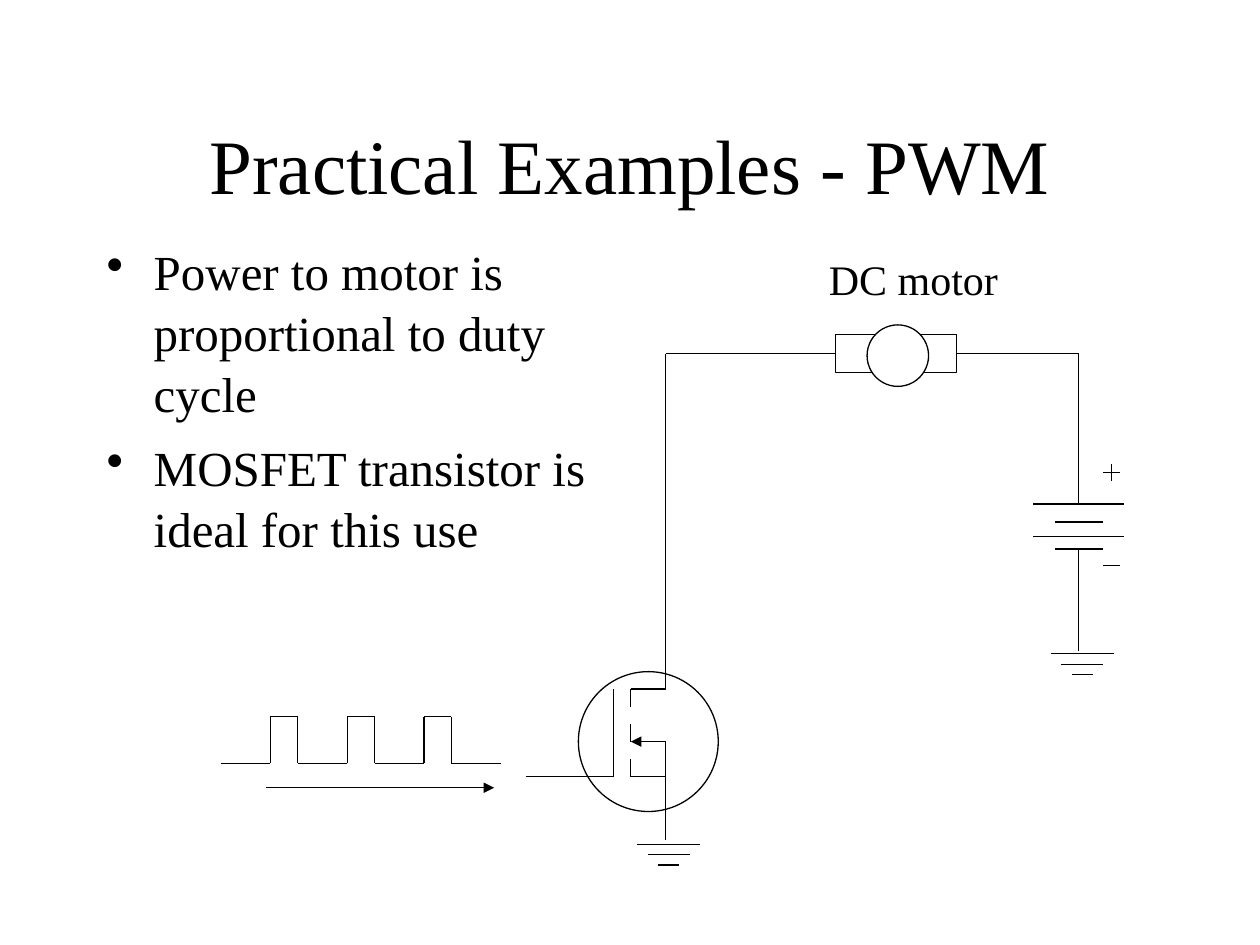
from dataclasses import dataclass

from lxml import etree
from pptx import Presentation
from pptx.dml.color import RGBColor
from pptx.enum.shapes import MSO_CONNECTOR, MSO_SHAPE
from pptx.enum.text import MSO_ANCHOR as Anchor, PP_ALIGN as Align
from pptx.oxml.ns import qn
from pptx.util import Cm, Pt


@dataclass(frozen=True)
class Theme:
    font: str = "Times New Roman"
    ink: RGBColor = RGBColor(0, 0, 0)
    paper: RGBColor = RGBColor(255, 255, 255)
    title: int = 44
    body: int = 28
    label: int = 24
    line: float = 0.75


@dataclass(frozen=True)
class Box:
    """Area on the slide, in centimetres."""
    left: float
    top: float
    width: float
    height: float

    @property
    def center(self):
        return self.left + self.width / 2

    @property
    def middle(self):
        return self.top + self.height / 2

    @property
    def right(self):
        return self.left + self.width

    @property
    def bottom(self):
        return self.top + self.height

    def lengths(self):
        return [Cm(value) for value in (self.left, self.top, self.width, self.height)]


THEME = Theme()


def add_text(slide, box, paragraphs, *, size, align=Align.LEFT, anchor=Anchor.TOP,
             bullet=None, spacing=None, space_before=0, margin_top=0.13):
    frame = slide.shapes.add_textbox(*box.lengths()).text_frame
    frame.word_wrap = True
    frame.vertical_anchor = anchor
    frame.margin_top = Cm(margin_top)
    for index, text in enumerate(paragraphs):
        paragraph = frame.paragraphs[0] if index == 0 else frame.add_paragraph()
        paragraph.alignment = align
        if spacing:
            paragraph.line_spacing = spacing
        if index and space_before:
            paragraph.space_before = Pt(space_before)
        if bullet:
            properties = paragraph._p.get_or_add_pPr()
            properties.set("marL", str(Cm(0.95)))
            properties.set("indent", str(-Cm(0.95)))
            etree.SubElement(properties, qn("a:buChar"), char=bullet)
        run = paragraph.add_run()
        run.text = text
        run.font.name = THEME.font
        run.font.size = Pt(size)
        run.font.color.rgb = THEME.ink


def add_line(slide, start, end, arrow=False):
    line = slide.shapes.add_connector(
        MSO_CONNECTOR.STRAIGHT, *[Cm(value) for value in (*start, *end)])
    line.line.color.rgb = THEME.ink
    line.line.width = Pt(THEME.line)
    if arrow:
        etree.SubElement(line.line._get_or_add_ln(), qn("a:tailEnd"), type="triangle")
    etree.SubElement(line._element.spPr, qn("a:effectLst"))
    return line


def add_outline(slide, preset, box, fill=None):
    shape = slide.shapes.add_shape(preset, *box.lengths())
    shape.shadow.inherit = False
    if fill is None:
        shape.fill.background()
    else:
        shape.fill.solid()
        shape.fill.fore_color.rgb = fill
    shape.line.color.rgb = THEME.ink
    shape.line.width = Pt(THEME.line)
    return shape


def draw_motor(slide, box):
    """Draw the motor and return its casing, to which the wires are joined."""
    casing = add_outline(slide, MSO_SHAPE.RECTANGLE, box)
    diameter = 1.24
    rotor = Box(box.center - diameter / 2 + 0.04, box.middle - diameter / 2 + 0.04,
                diameter, diameter)
    add_outline(slide, MSO_SHAPE.OVAL, rotor, fill=THEME.paper)
    return casing


def draw_mosfet(slide, box):
    """Draw the transistor on a grid of eighths and return the x of its drain."""
    add_outline(slide, MSO_SHAPE.OVAL, box)
    unit = box.width / 8

    def at(column, row):
        return box.left + column * unit, box.top + row * unit

    gate, channel, drain = 2, 3, 5
    add_line(slide, at(gate, 1), at(gate, 6))
    add_line(slide, at(gate, 6), at(-3, 6))
    for row in (1, 3, 5):
        add_line(slide, at(channel, row), at(channel, row + 1))
    for row in (1, 6):
        add_line(slide, at(channel, row), at(drain, row))
    add_line(slide, at(drain, 4), at(channel, 4), arrow=True)
    add_line(slide, at(drain, 4), at(drain, 9.65))
    return at(drain, 1)[0]


def draw_ground(slide, box):
    for step in range(3):
        half = box.width * (3 - step) / 6
        y = box.top + box.height * step / 2
        add_line(slide, (box.center - half, y), (box.center + half, y))


def draw_battery(slide, box):
    short = 0.97
    for y, width in ((0, box.width), (0.36, short), (0.66, box.width), (0.91, short)):
        add_line(slide, (box.center - width / 2, box.top + y),
                 (box.center + width / 2, box.top + y))
    sign, arm = box.right - 0.25, 0.17
    plus, minus = box.top - 0.63, box.bottom + 0.33
    for y in (plus, minus):
        add_line(slide, (sign - arm, y), (sign + arm, y))
    add_line(slide, (sign, plus - arm), (sign, plus + arm))


def draw_pulses(slide, box, count=3, low=1.0, high=0.55):
    """Draw a square wave along the top of the box and the time arrow at its foot."""
    base = box.top + 0.94
    for index in range(count):
        start = box.left + index * (low + high)
        rise, fall = start + low, start + low + high
        corners = [(start, base), (rise, base), (rise, box.top),
                   (fall, box.top), (fall, base)]
        for begin, end in zip(corners, corners[1:]):
            add_line(slide, begin, end)
    add_line(slide, (box.right - low, base), (box.right, base))
    add_line(slide, (box.left + 0.91, box.bottom), (box.right - 0.14, box.bottom),
             arrow=True)


def draw_circuit(slide, box):
    """Place the motor loop: transistor on the left, battery on the right."""
    motor = Box(box.left + 5.18, box.top + 0.24, 2.44, 0.76)
    mosfet = Box(box.left, box.top + 7.03, 2.82, 2.82)
    battery = Box(box.right - 1.83, box.top + 3.65, 1.83, 0.91)
    drain = draw_mosfet(slide, mosfet)
    casing = draw_motor(slide, motor)
    draw_battery(slide, battery)
    draw_ground(slide, Box(mosfet.left + 1.19, mosfet.bottom + 0.66, 1.27, 0.42))
    draw_ground(slide, Box(battery.left + 0.35, battery.bottom + 2.11, 1.27, 0.42))

    wire = motor.middle
    add_line(slide, (drain, wire), (drain, mosfet.top + mosfet.width / 8))
    add_line(slide, (battery.center, wire), (battery.center, battery.top))
    add_line(slide, (battery.center, battery.bottom),
             (battery.center, battery.bottom + 2.05))
    add_line(slide, (drain, wire), (motor.left, wire)).end_connect(casing, 1)
    add_line(slide, (battery.center, wire), (motor.right, wire)).end_connect(casing, 3)
    add_text(slide, Box(box.left + 4.8, box.top - 1.53, 5.89, 1.27), ["DC motor"],
             size=THEME.label)


def draw_words(slide, box):
    add_text(slide, Box(box.left, box.top, box.width, 3.18),
             ["Practical Examples - PWM"],
             size=THEME.title, align=Align.CENTER, anchor=Anchor.MIDDLE)
    add_text(slide, Box(box.left, box.top + 2.92, 10.6, 11.43),
             ["Power to motor is proportional to duty cycle",
              "MOSFET transistor is ideal for this use"],
             size=THEME.body, bullet="•", spacing=1.04, space_before=7, margin_top=0.2)


def main():
    presentation = Presentation()
    presentation.slide_width, presentation.slide_height = Cm(25.4), Cm(19.05)
    slide = presentation.slides.add_slide(presentation.slide_layouts[6])
    draw_words(slide, Box(1.9, 1.7, 21.6, 14.35))
    draw_circuit(slide, Box(11.66, 6.51, 11, 10.93))
    draw_pulses(slide, Box(4.45, 14.45, 5.65, 1.43))
    presentation.save("out.pptx")


if __name__ == "__main__":
    main()
